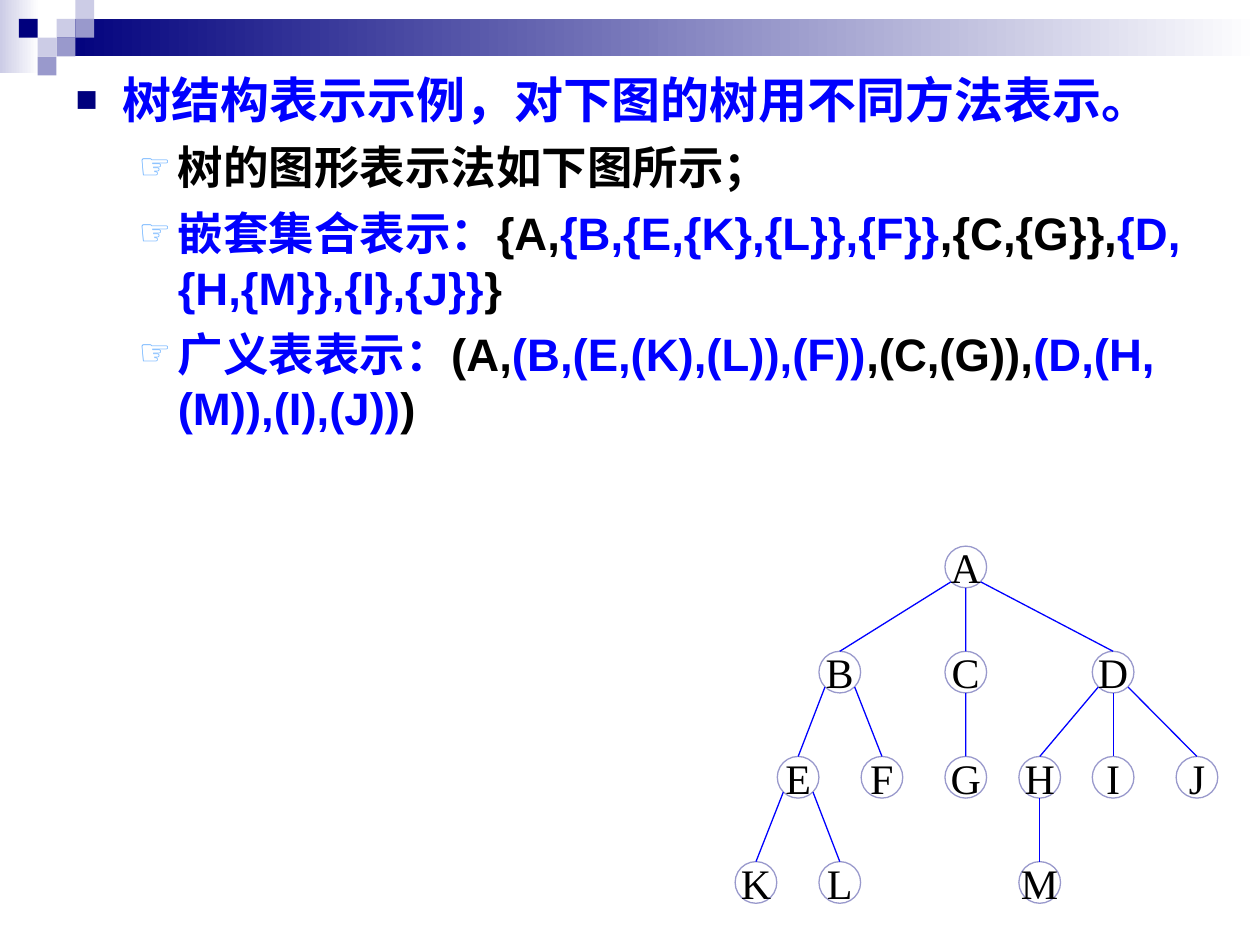
import dataclasses
import typing

import pptx
import pptx.dml.color
import pptx.enum.shapes
import pptx.enum.text
import pptx.oxml
import pptx.oxml.ns
import pptx.util

Cm = pptx.util.Cm
Pt = pptx.util.Pt
RGB = pptx.dml.color.RGBColor.from_string
MSO = pptx.enum.shapes.MSO_SHAPE


@dataclasses.dataclass(frozen=True)
class Theme:
    navy: str = "00007D"
    violet: str = "9999CC"
    pale: str = "CCCCE6"
    white: str = "FFFFFF"
    blue: str = "0000FF"
    black: str = "000000"
    sky: str = "67AFFF"
    body_font: str = "Arial"
    node_font: str = "Times New Roman"
    node_size: int = 24
    line_width: float = 0.75


T = Theme()


@dataclasses.dataclass(frozen=True)
class Bullet:
    char: str
    color: str
    percent: int
    level: int
    left: float
    hanging: float
    size: int
    before: float


@dataclasses.dataclass(frozen=True)
class Item:
    bullet: Bullet
    runs: tuple[tuple[str, str], ...]


@dataclasses.dataclass(frozen=True)
class Node:
    name: str
    x: float
    row: int
    children: str = ""

    @property
    def y(self) -> float:
        return TREE_TOP + self.row * ROW_GAP


CELL = 0.38
RADIUS = 0.42
DIAGONAL = 0.3
TREE_TOP = 11.43
ROW_GAP = 2.12

BANDS = [
    (0, 0, 0.79, 1.47, T.pale),
    (1.14, CELL, 24.26, 0.76, T.navy),
]
CELLS = [
    (3, 1, T.pale), (4, 0, T.pale), (4, 1, T.violet), (2, 2, T.pale),
    (1, 1, T.navy), (3, 2, T.violet), (2, 3, T.violet),
]

MAIN = Bullet("■", T.navy, 75, 0, 0.95, 0.95, 28, 0)
SUB = Bullet("☞", T.sky, 80, 1, 2.06, 0.79, 26, 6.5)
ITEMS = [
    Item(MAIN, (("树结构表示示例，对下图的树用不同方法表示。", T.blue),)),
    Item(SUB, (("树的图形表示法如下图所示；", T.black),)),
    Item(SUB, (
        ("嵌套集合表示：", T.blue), ("{A,", T.black),
        ("{B,{E,{K},{L}},{F}}", T.blue), (",{C,{G}},", T.black),
        ("{D,{H,{M}},{I},{J}}", T.blue), ("}", T.black),
    )),
    Item(SUB, (
        ("广义表表示：", T.blue), ("(A,", T.black),
        ("(B,(E,(K),(L)),(F))", T.blue), (",(C,(G)),", T.black),
        ("(D,(H,(M)),(I),(J))", T.blue), (")", T.black),
    )),
]

NODES = [
    Node("A", 19.47, 0, "BCD"),
    Node("B", 16.93, 1, "EF"),
    Node("C", 19.47, 1, "G"),
    Node("D", 22.44, 1, "HIJ"),
    Node("E", 16.09, 2, "KL"),
    Node("F", 17.78, 2),
    Node("G", 19.47, 2),
    Node("H", 20.96, 2, "M"),
    Node("I", 22.44, 2),
    Node("J", 24.13, 2),
    Node("K", 15.24, 3),
    Node("L", 16.93, 3),
    Node("M", 20.96, 3),
]


def apply(target: typing.Any, values: dict[str, typing.Any]) -> None:
    for name, value in values.items():
        setattr(target, name, value)


def add_run(p: typing.Any, text: str, color: str, **font: typing.Any) -> None:
    r = p.add_run()
    r.text = text
    apply(r.font, font)
    r.font.color.rgb = RGB(color)


def add_block(shapes: typing.Any, kind: MSO, x: float, y: float,
              w: float, h: float, color: str) -> typing.Any:
    sp = shapes.add_shape(kind, Cm(x), Cm(y), Cm(w), Cm(h))
    sp.shadow.inherit = False
    sp.fill.solid()
    sp.fill.fore_color.rgb = RGB(color)
    sp.line.fill.background()
    return sp


def draw_header(shapes: typing.Any) -> None:
    for x, y, w, h, color in BANDS:
        sp = add_block(shapes, MSO.RECTANGLE, x, y, w, h, color)
        sp.fill.gradient()
        sp.fill.gradient_angle = 0
        for stop, shade in zip(sp.fill.gradient_stops, (color, T.white)):
            stop.color.rgb = RGB(shade)
    for col, row, color in CELLS:
        add_block(shapes, MSO.RECTANGLE, col * CELL, row * CELL, CELL, CELL, color)


def set_bullet(p: typing.Any, b: Bullet) -> None:
    pPr = p._p.get_or_add_pPr()
    pPr.set("marL", str(Cm(b.left)))
    pPr.set("indent", str(-Cm(b.hanging)))
    ns = pptx.oxml.ns.nsdecls("a")
    for xml in (
        f'<a:buClr {ns}><a:srgbClr val="{b.color}"/></a:buClr>',
        f'<a:buSzPct {ns} val="{b.percent * 1000}"/>',
        f'<a:buChar {ns} char="{b.char}"/>',
    ):
        pPr.append(pptx.oxml.parse_xml(xml))


def write_body(sp: typing.Any) -> None:
    apply(sp, {"left": Cm(1.27), "top": Cm(1.27),
               "width": Cm(22.86), "height": Cm(17.35)})
    tf = sp.text_frame
    apply(tf, {"word_wrap": True,
               "auto_size": pptx.enum.text.MSO_AUTO_SIZE.NONE,
               "vertical_anchor": pptx.enum.text.MSO_ANCHOR.TOP})
    for i, item in enumerate(ITEMS):
        b = item.bullet
        p = tf.add_paragraph() if i else tf.paragraphs[0]
        set_bullet(p, b)
        apply(p, {"level": b.level, "space_before": Pt(b.before)})
        for text, color in item.runs:
            add_run(p, text, color, name=T.body_font, size=Pt(b.size), bold=True)


def draw_node(shapes: typing.Any, node: Node) -> typing.Any:
    sp = add_block(shapes, MSO.OVAL, node.x - RADIUS, node.y - RADIUS,
                   2 * RADIUS, 2 * RADIUS, T.white)
    sp.line.color.rgb = RGB(T.violet)
    sp.line.width = Pt(T.line_width)
    tf = sp.text_frame
    apply(tf, {"word_wrap": False,
               "vertical_anchor": pptx.enum.text.MSO_ANCHOR.MIDDLE})
    p = tf.paragraphs[0]
    p.alignment = pptx.enum.text.PP_ALIGN.CENTER
    add_run(p, node.name, T.black, name=T.node_font, size=Pt(T.node_size))
    return sp


def draw_edge(shapes: typing.Any, parent: Node, child: Node, oval: typing.Any) -> None:
    side = (child.x > parent.x) - (child.x < parent.x)
    drop = DIAGONAL if side else RADIUS
    line = shapes.add_connector(
        pptx.enum.shapes.MSO_CONNECTOR.STRAIGHT,
        Cm(parent.x + side * DIAGONAL), Cm(parent.y + drop),
        Cm(child.x), Cm(child.y - RADIUS))
    line.end_connect(oval, 0)
    line.line.color.rgb = RGB(T.blue)
    line.line.width = Pt(T.line_width)
    line._element.spPr.append(pptx.oxml.parse_xml(
        f'<a:effectLst {pptx.oxml.ns.nsdecls("a")}/>'))


def draw_tree(shapes: typing.Any) -> None:
    by_name = {node.name: node for node in NODES}
    ovals = {node.name: draw_node(shapes, node) for node in NODES}
    for node in NODES:
        for name in node.children:
            draw_edge(shapes, node, by_name[name], ovals[name])


def main() -> None:
    prs = pptx.Presentation()
    apply(prs, {"slide_width": Cm(25.4), "slide_height": Cm(19.05)})
    s = prs.slides.add_slide(prs.slide_layouts[1])
    title = s.shapes.title._element
    title.getparent().remove(title)
    draw_header(s.shapes.add_group_shape().shapes)
    write_body(s.placeholders[1])
    draw_tree(s.shapes.add_group_shape().shapes)
    prs.save("out.pptx")


if __name__ == "__main__":
    main()
